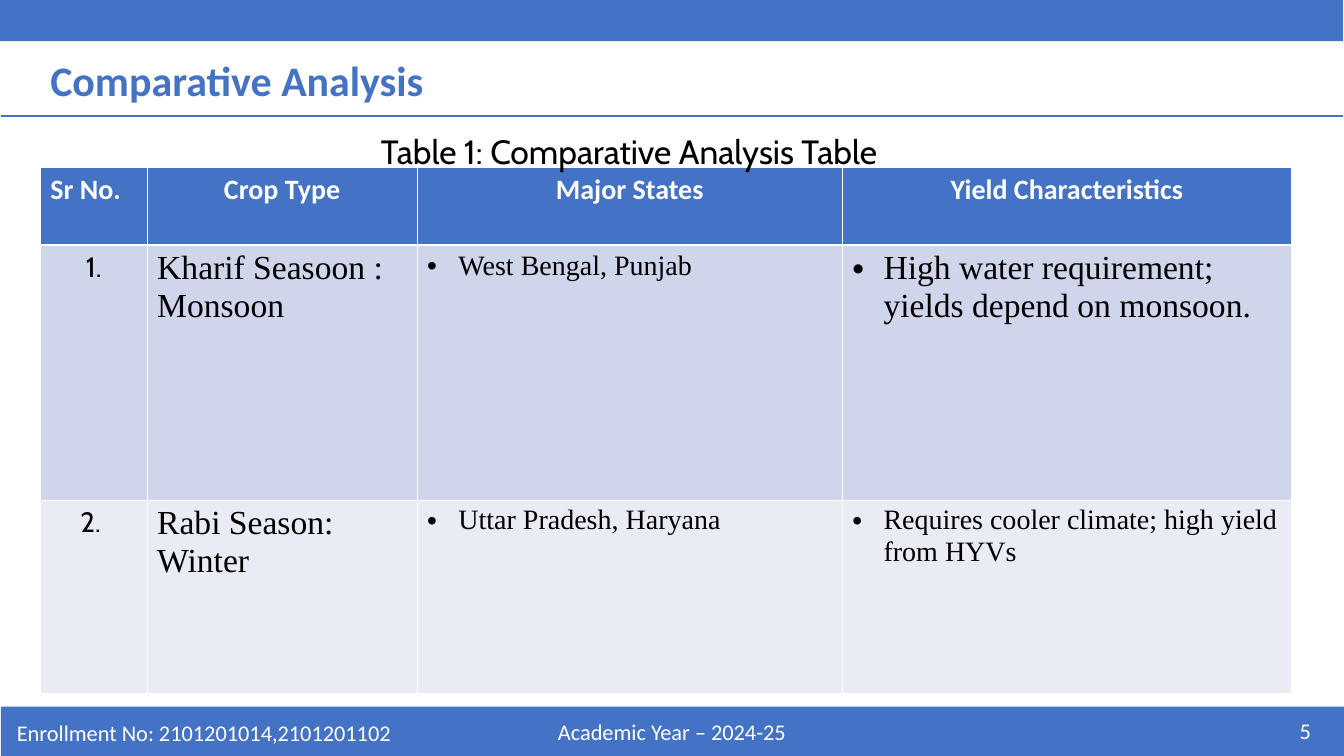
from lxml import etree
from pptx import Presentation
from pptx.dml.color import RGBColor
from pptx.enum.shapes import MSO_CONNECTOR, MSO_SHAPE
from pptx.enum.text import MSO_ANCHOR, PP_ALIGN
from pptx.oxml.ns import qn
from pptx.util import Inches, Pt

LEFT, CENTER, RIGHT = PP_ALIGN.LEFT, PP_ALIGN.CENTER, PP_ALIGN.RIGHT
TOP, MIDDLE = MSO_ANCHOR.TOP, MSO_ANCHOR.MIDDLE
RECTANGLE, STRAIGHT = MSO_SHAPE.RECTANGLE, MSO_CONNECTOR.STRAIGHT

BLUE = RGBColor(0x44, 0x72, 0xC4)
WHITE = RGBColor(0xFF, 0xFF, 0xFF)
BLACK = RGBColor(0x00, 0x00, 0x00)
ROW_DARK = RGBColor(0xCF, 0xD5, 0xEA)
ROW_LIGHT = RGBColor(0xE9, 0xEB, 0xF5)

SANS, CAPTION, SERIF = "Calibri", "Cabin", "Times New Roman"
THIN, THICK = 0.45, 1.47
BULLET_INDENT = Inches(0.31)

COLUMN_SHARES = [7.95, 20.09, 31.63, 33.43]
ROW_SHARES = [10.27, 33.73, 25.6]
HEADINGS = ["Sr No.", "Crop Type", "Major States", "Yield Characteristics"]
CROPS = [
    ("1.", "Kharif Seasoon : Monsoon", "West Bengal, Punjab",
     "High water requirement; yields depend on monsoon.", 24, ROW_DARK),
    ("2. ", "Rabi Season:\nWinter", "Uttar Pradesh, Haryana",
     "Requires cooler climate; high yield from HYVs", 20, ROW_LIGHT),
]


class SlideBuilder:
    """Places elements by percentages of the slide's width and height."""

    def __init__(self, presentation):
        self.width = presentation.slide_width
        self.height = presentation.slide_height
        self.slide = presentation.slides.add_slide(presentation.slide_layouts[6])

    def across(self, share):
        return round(self.width * share / 100)

    def down(self, share):
        return round(self.height * share / 100)

    def box(self, left, top, width, height):
        return self.across(left), self.down(top), self.across(width), self.down(height)

    def bar(self, *place):
        shape = self.slide.shapes.add_shape(RECTANGLE, *self.box(*place))
        shape.shadow.inherit = False
        shape.fill.solid()
        shape.fill.fore_color.rgb = BLUE
        shape.line.fill.background()

    def rule(self, left, right, top):
        line = self.slide.shapes.add_connector(
            STRAIGHT, self.across(left), self.down(top), self.across(right), self.down(top))
        line.line.color.rgb = BLUE
        line.line.width = Pt(1.5)
        etree.SubElement(line._element.spPr, qn("a:effectLst"))

    def fill_text(self, frame, text, size, font, color, align=LEFT, bold=False):
        for index, line in enumerate(text.split("\n")):
            paragraph = frame.add_paragraph() if index else frame.paragraphs[0]
            paragraph.alignment = align
            run = paragraph.add_run()
            run.text = line
            run.font.size = Pt(size)
            run.font.name = font
            run.font.bold = bold
            run.font.color.rgb = color

    def text(self, place, text, size, font, color, align=LEFT, bold=False, anchor=TOP):
        frame = self.slide.shapes.add_textbox(*self.box(*place)).text_frame
        frame.word_wrap = True
        frame.vertical_anchor = anchor
        self.fill_text(frame, text, size, font, color, align, bold)
        return frame.paragraphs[0]

    def footer(self, place, text, align):
        self.text(place, text, 16, SANS, WHITE, align, anchor=MIDDLE)

    def table(self, left, top, columns, rows):
        place = self.box(left, top, sum(columns), sum(rows))
        table = self.slide.shapes.add_table(len(rows), len(columns), *place).table
        for column, share in zip(table.columns, columns):
            column.width = self.across(share)
        for row, share in zip(table.rows, rows):
            row.height = self.down(share)
        return table

    def border(self, cell, **widths):
        properties = cell._tc.get_or_add_tcPr()
        for side in "LRTB":
            width = Pt(widths.get(side, THIN))
            line = etree.SubElement(properties, qn(f"a:ln{side}"), w=str(width))
            fill = etree.SubElement(line, qn("a:solidFill"))
            etree.SubElement(fill, qn("a:srgbClr"), val=str(WHITE))

    def cell(self, cell, fill, text, size, font, color, align=LEFT, bold=False, **widths):
        self.border(cell, **widths)
        cell.fill.solid()
        cell.fill.fore_color.rgb = fill
        self.fill_text(cell.text_frame, text, size, font, color, align, bold)

    def bullet(self, cell):
        for paragraph in cell.text_frame.paragraphs:
            properties = paragraph._p.get_or_add_pPr()
            properties.set("marL", str(BULLET_INDENT))
            properties.set("indent", str(-BULLET_INDENT))
            color = etree.SubElement(properties, qn("a:buClr"))
            etree.SubElement(color, qn("a:srgbClr"), val=str(BLACK))
            etree.SubElement(properties, qn("a:buFont"), typeface="Arial")
            etree.SubElement(properties, qn("a:buChar"), char="•")


def add_crop_table(builder):
    table = builder.table(3, 22.13, COLUMN_SHARES, ROW_SHARES)
    for index, heading in enumerate(HEADINGS):
        align = CENTER if index else LEFT
        builder.cell(table.cell(0, index), BLUE, heading, 20, SANS, WHITE, align, True, B=THICK)
    for row, (number, crop, states, crop_yield, yield_size, fill) in enumerate(CROPS, 1):
        cells = table.rows[row].cells
        top = THICK if row == 1 else THIN
        builder.cell(cells[0], fill, number, 20, CAPTION, BLACK, CENTER, T=top)
        builder.cell(cells[1], fill, crop, 24, SERIF, BLACK, T=top)
        builder.cell(cells[2], fill, states, 20, SERIF, BLACK, T=top)
        builder.cell(cells[3], fill, crop_yield, yield_size, SERIF, BLACK, T=top)
        builder.bullet(cells[2])
        builder.bullet(cells[3])


def main():
    presentation = Presentation()
    presentation.slide_width = Inches(13.34)
    presentation.slide_height = Inches(7.5)
    builder = SlideBuilder(presentation)

    builder.bar(0.07, 93.47, 99.93, 6.53)
    builder.footer((33.13, 94.13, 33.73, 5.33), "Academic Year – 2024-25", CENTER)
    builder.footer((75.79, 94, 22.49, 5.33), "5", RIGHT)
    builder.bar(0, -0.27, 99.93, 5.73)
    builder.text((3, 6.53, 94.15, 8), "Comparative Analysis", 30, SANS, BLUE, bold=True)
    builder.rule(0.07, 99.93, 15.33)
    builder.footer((0.52, 94.27, 33.73, 5.33), "Enrollment No: 2101201014,2101201102", LEFT)
    add_crop_table(builder)
    caption = builder.text((21.81, 17.33, 50, 6.13), "Table 1: Comparative Analysis Table",
                           24, CAPTION, BLACK, CENTER)
    caption.line_spacing = 0.9
    caption.space_before = Pt(10)

    presentation.save("out.pptx")


if __name__ == "__main__":
    main()
